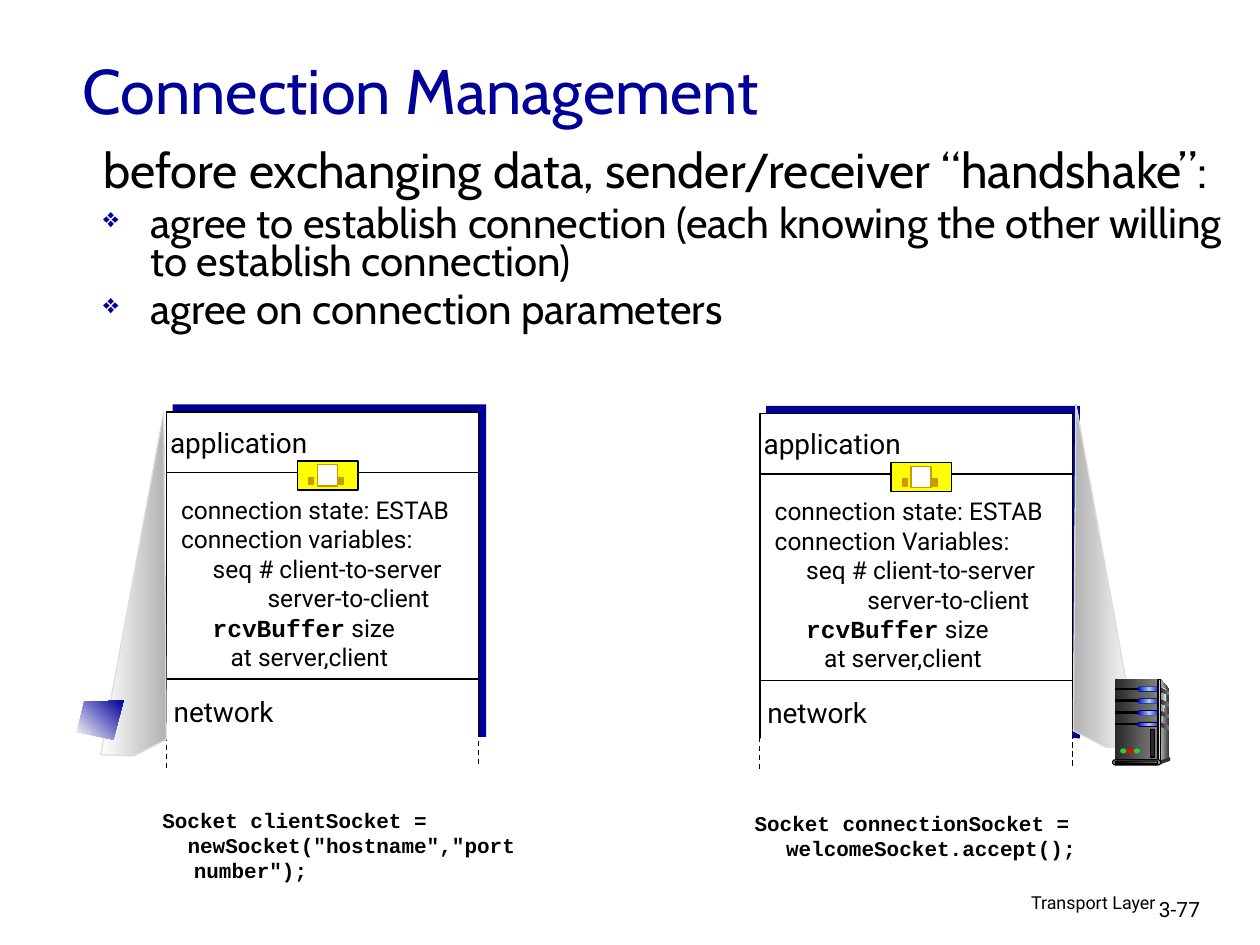
from copy import deepcopy

from lxml.etree import SubElement
from pptx import Presentation
from pptx.dml.color import RGBColor
from pptx.enum.dml import MSO_LINE
from pptx.enum.shapes import MSO_CONNECTOR, MSO_SHAPE
from pptx.enum.text import MSO_ANCHOR, PP_ALIGN
from pptx.oxml.ns import qn
from pptx.util import Pt

NAVY, BLACK, WHITE = "000099", "000000", "FFFFFF"
YELLOW, OCHRE, GREEN = "FFFF00", "CC9900", "33CC33"
CHARCOAL, DARK, GREY, SILVER = "292929", "333333", "808080", "DDDDDD"
LAMP = ["0000FF", "99CCFF", "0000FF"]
RECT, PILL, OVAL = MSO_SHAPE.RECTANGLE, MSO_SHAPE.ROUNDED_RECTANGLE, MSO_SHAPE.OVAL

deck = Presentation()
deck.slide_width, deck.slide_height = Pt(720), Pt(540)
slide = deck.slides.add_slide(deck.slide_layouts[6])
shapes = slide.shapes


def write(text, left, top, width, height, size=12, font="Roboto", color=BLACK,
          bold=False, align=PP_ALIGN.LEFT, anchor=MSO_ANCHOR.TOP, wrap=True,
          indents=(), spacing=None):
    """Add a text box; words between backticks become bold Courier New.

    indents holds a (left margin, first line) pair for each paragraph.
    """
    frame = shapes.add_textbox(Pt(left), Pt(top), Pt(width), Pt(height)).text_frame
    frame.word_wrap, frame.vertical_anchor = wrap, anchor
    for number, line in enumerate(text.split("\n")):
        paragraph = frame.add_paragraph() if number else frame.paragraphs[0]
        paragraph.alignment, paragraph.line_spacing = align, spacing
        if indents:
            margin, first = indents[number]
            properties = paragraph._p.get_or_add_pPr()
            properties.set("marL", str(Pt(margin)))
            properties.set("indent", str(Pt(first)))
        for part, words in enumerate(line.split("`")):
            if words:
                run = paragraph.add_run()
                run.text = words
                run.font.size = Pt(size)
                run.font.name = "Courier New" if part % 2 else font
                run.font.bold = bold or part % 2 == 1
                run.font.color.rgb = RGBColor.from_string(color)
    return frame


def paint(shape, fill, line=None, angle=180):
    """Fill with one colour, or with a gradient when fill is a list."""
    shape.shadow.inherit = False
    if isinstance(fill, str):
        shape.fill.solid()
        shape.fill.fore_color.rgb = RGBColor.from_string(fill)
    else:
        shape.fill.gradient()
        shape.fill.gradient_angle = angle
        stop_list = shape._element.spPr.find(".//" + qn("a:gsLst"))
        for _ in fill[2:]:
            stop_list.append(deepcopy(stop_list[0]))
        for number, stop in enumerate(shape.fill.gradient_stops):
            stop.color.rgb = RGBColor.from_string(fill[number])
            stop.position = number / (len(fill) - 1)
    if line:
        shape.line.color.rgb = RGBColor.from_string(line)
        shape.line.width = Pt(0.75)
    else:
        shape.line.fill.background()


# Footer, title and main points
write("Transport Layer", 439.2, 507.6, 228.2, 22.3, size=10.2,
      align=PP_ALIGN.RIGHT, spacing=0.9)
write("3-77", 655.2, 509, 53.3, 21.6)
write("Connection Management", 40.3, 15.1, 612, 72, size=36, font="Cabin",
      color=NAVY, anchor=MSO_ANCHOR.MIDDLE)
points = write(
    "before exchanging data, sender/receiver “handshake”:\n"
    "agree to establish connection (each knowing the other willing to establish connection)\n"
    "agree on connection parameters",
    51.8, 84.2, 656.6, 172, size=24, font="Cabin", spacing=0.75,
    indents=[(27, -27)] * 3).paragraphs
points[0].space_before = Pt(7)
points[0].runs[0].font.size = Pt(28)
for point in points[1:]:
    point.space_before = Pt(6)
    properties = point._p.get_or_add_pPr()
    bullet_color = SubElement(properties, qn("a:buClr"))
    SubElement(bullet_color, qn("a:srgbClr")).set("val", NAVY)
    SubElement(properties, qn("a:buSzPct")).set("val", "65000")
    SubElement(properties, qn("a:buChar")).set("char", "❖")

# Protocol stacks of client and server: left, top, wording, indent of fourth line
stacks = [(95, 235.4, "variables", 49.4), (434.2, 236.2, "Variables", 52.9)]
for left, top, variables, deep_indent in stacks:
    # x, y, width, height, fill, line
    panels = [
        (3.6, -4.3, 179.3, 190, NAVY, None),
        (0, 0, 178.6, 194.4, WHITE, BLACK),
        (-2.2, 185.8, 183.6, 14.4, WHITE, None),
    ]
    socket_door = [
        (74.9, 28.1, 34.6, 16.6, YELLOW, BLACK),
        (86.4, 30.2, 11.5, 12.2, WHITE, OCHRE),
        (98.6, 37.4, 2.9, 4.3, OCHRE, OCHRE),
        (81.4, 37.4, 2.9, 4.3, OCHRE, OCHRE),
    ]
    # x1, y1, x2, y2, dashed
    rules = [
        (0, 34.6, 179, 34.6, False),
        (0.5, 152.6, 179, 152.6, False),
        (0, 185, 0, 203.8, True),
        (178.6, 182.9, 178.6, 201.6, True),
    ]
    for x, y, width, height, fill, line in panels:
        paint(shapes.add_shape(RECT, Pt(left + x), Pt(top + y), Pt(width), Pt(height)),
              fill, line)
    for x1, y1, x2, y2, dashed in rules:
        rule = shapes.add_connector(MSO_CONNECTOR.STRAIGHT, Pt(left + x1), Pt(top + y1),
                                    Pt(left + x2), Pt(top + y2))
        rule.line.color.rgb = RGBColor.from_string(BLACK)
        rule.line.width = Pt(0.75)
        if dashed:
            rule.line.dash_style = MSO_LINE.DASH
        SubElement(rule._element.spPr, qn("a:effectLst"))
    for x, y, width, height, fill, line in socket_door:
        paint(shapes.add_shape(RECT, Pt(left + x), Pt(top + y), Pt(width), Pt(height)),
              fill, line)
    write("application", left - 18.7, top + 4.3, 120.2, 26.6, size=16,
          align=PP_ALIGN.CENTER, wrap=False)
    write("network", left - 7.9, top + 157.7, 81.4, 26.6, size=16,
          align=PP_ALIGN.CENTER, wrap=False)
    write(f"connection state: ESTAB\nconnection {variables}:\nseq # client-to-server\n"
          "server-to-client\n`rcvBuffer` size\nat server,client",
          left + 1.4, top + 43.9, 183.6, 208.8, size=14,
          indents=[(0, 0), (0, 0), (18, 0), (deep_indent, 0), (18, 0), (28.3, 0)])

# Socket calls
write('Socket clientSocket =\nnewSocket("hostname","port number");', 85.7, 457.9, 227.5, 50.4,
      font="Courier New", bold=True, indents=[(18, -18), (18, -3.6)])
write("Socket connectionSocket = welcomeSocket.accept();", 424.1, 459.4, 227.5, 36,
      font="Courier New", bold=True, indents=[(18, -18)])

# Zoom cones, client screen and server side: corners, fill, line, gradient angle
outlines = [
    ([(57.6, 431.3), (93.6, 235.4), (95, 422.6), (76.3, 432)], [WHITE, "B2B2B2"], SILVER, 0),
    ([(650.2, 426.2), (614.9, 231.1), (613.4, 417.6), (632.2, 427)],
     [WHITE, "B2B2B2"], SILVER, 180),
    ([(70.6, 400.3), (48.2, 401), (43.9, 418.3), (64.8, 422.6)], [WHITE, NAVY], None, 45),
    ([(663.1, 388.1), (668.2, 393.8), (668.2, 432.7), (661.7, 434.9)],
     [DARK, SILVER], None, 180),
    ([(663.1, 391), (666.7, 394.6), (664, 412), (663.1, 433.4)], ["F8F8F8", GREY], None, 180),
    ([(662.4, 434.9), (662.4, 437), (668.2, 434.9), (668.2, 432.7)], DARK, None, 0),
]
for row in range(4):
    y = 393.1 + 6.6 * row
    outlines.append(([(662.8, y), (668.2, y + 2.3), (668.2, y + 4.2), (662.8, y + 2)],
                     [GREY, CHARCOAL], None, 180))
for corners, fill, line, angle in outlines:
    start, *others = [(Pt(x), Pt(y)) for x, y in corners]
    builder = shapes.build_freeform(*start)
    builder.add_line_segments(others, close=True)
    paint(builder.convert_to_shape(), fill, line, angle)

# Server front: kind, left, top, width, height, fill, line
server = [(RECT, 637.2, 388.1, 24.5, 46.8, [GREY, CHARCOAL], None)]
for row in range(4):
    y = 392.4 + 6.7 * row
    server += [
        (RECT, 637.5, y + 0.9, 13.7, 0.7, BLACK, BLACK),
        (PILL, 649.8, y, 13.7, 2.9, BLACK, None),
        (PILL, 650.2, y + 0.4, 13, 2.2, LAMP, None),
    ]
server += [
    (RECT, 661.7, 388.1, 1.4, 46.8, [DARK, SILVER, DARK], BLACK),
    (OVAL, 667.4, 432.7, 1.4, 2.2, DARK, None),
    (PILL, 635.8, 434.2, 27.4, 2.9, SILVER, BLACK),
    (PILL, 637.2, 434.9, 24.5, 1.4, [GREY, BLACK], BLACK),
    (RECT, 657.4, 416.9, 2.2, 15.8, CHARCOAL, BLACK),
]
for number, light in enumerate([GREEN, "FF0000", GREEN]):
    server.append((OVAL, 640.1 + 3.9 * number, 427.7, 3.6, 2.9, light, None))
for kind, left, top, width, height, fill, line in server:
    part = shapes.add_shape(kind, Pt(left), Pt(top), Pt(width), Pt(height))
    if kind == PILL:
        part.adjustments[0] = 0.5
    paint(part, fill, line)

deck.save("out.pptx")
